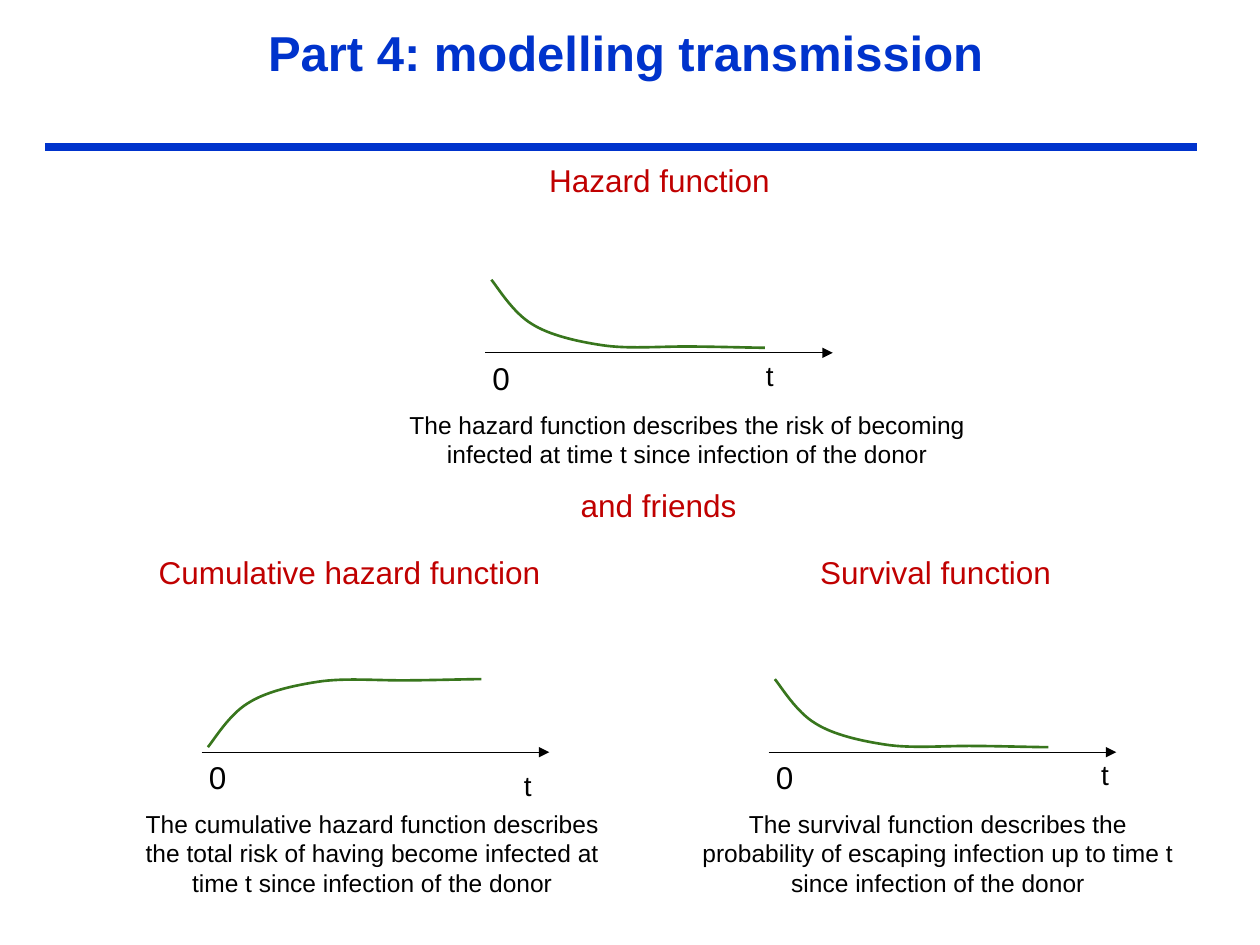
from lxml import etree
from pptx import Presentation
from pptx.dml.color import RGBColor
from pptx.enum.shapes import MSO_CONNECTOR
from pptx.enum.text import PP_ALIGN
from pptx.oxml.ns import qn
from pptx.util import Inches, Pt

STRAIGHT = MSO_CONNECTOR.STRAIGHT
LEFT, CENTER = PP_ALIGN.LEFT, PP_ALIGN.CENTER
BLUE, RED, GREEN, BLACK = "0033CC", "C00000", "38761D", "000000"

TITLE = "Part 4: modelling transmission"

# Boxes are left, top, width, height in inches; axis is the origin of the time axis.
GRAPHS = [
    {"heading": "Hazard function", "heading_at": (4.26, 1.23),
     "axis": (3.85, 2.8), "rising": False, "t_at": (5.98, 2.8),
     "text": "The hazard function describes the risk of becoming infected "
             "at time t since infection of the donor",
     "text_box": (2.96, 3.15, 4.99, 0.58)},
    {"heading": "Cumulative hazard function", "heading_at": (1.16, 4.34),
     "axis": (1.6, 5.97), "rising": True, "t_at": (4.06, 6.05),
     "text": "The cumulative hazard function describes the total risk of having "
             "become infected at time t since infection of the donor",
     "text_box": (0.96, 6.32, 3.99, 1.18)},
    {"heading": "Survival function", "heading_at": (6.41, 4.34),
     "axis": (6.1, 5.97), "rising": False, "t_at": (8.64, 5.96),
     "text": "The survival function describes the probability of escaping "
             "infection up to time t since infection of the donor",
     "text_box": (5.38, 6.32, 4.13, 1.11)},
]
LINK = ("and friends", (4.51, 3.81))
HEADING_SIZE = (3.61, 0.4)
AXIS_LENGTH = 2.76

# Start point, then three Bezier points for each segment of the falling curve
CURVE = [(0, 0),
         (0.05, 0.06), (0.17, 0.26), (0.32, 0.35),
         (0.46, 0.44), (0.68, 0.49), (0.88, 0.52),
         (1.08, 0.55), (1.32, 0.53), (1.54, 0.53),
         (1.75, 0.53), (2.07, 0.54), (2.17, 0.54)]
CURVE_HEIGHT = 0.54
CURVE_OFFSET = (0.05, -0.58)


def color(hex_string):
    return RGBColor.from_string(hex_string)


def add_text(slide, text, box, size, font_color, align=LEFT, bold=False, margin=0.05):
    shape = slide.shapes.add_textbox(*map(Inches, box))
    frame = shape.text_frame
    frame.word_wrap = True
    frame.margin_left = frame.margin_right = Inches(0.1)
    frame.margin_top = frame.margin_bottom = Inches(margin)
    frame.text = text
    paragraph = frame.paragraphs[0]
    paragraph.alignment = align
    font = paragraph.runs[0].font
    font.name, font.size, font.bold = "Arial", Pt(size), bold
    font.color.rgb = color(font_color)


def add_heading(slide, text, position):
    add_text(slide, text, (*position, *HEADING_SIZE), 18, RED)


def add_line(slide, left, right, y, line_color, width, arrow=False):
    line = slide.shapes.add_connector(
        STRAIGHT, Inches(left), Inches(y), Inches(right), Inches(y))
    line.line.color.rgb = color(line_color)
    line.line.width = Pt(width)
    if arrow:
        etree.SubElement(line.line._get_or_add_ln(), qn("a:tailEnd"), type="triangle")
    etree.SubElement(line._element.spPr, qn("a:effectLst"))


def add_curve(slide, left, top, rising):
    points = [(Inches(left + x), Inches(top + (CURVE_HEIGHT - y if rising else y)))
              for x, y in CURVE]
    builder = slide.shapes.build_freeform(*points[0])
    builder.add_line_segments(points[1:], close=False)
    shape = builder.convert_to_shape()
    shape.shadow.inherit = False
    shape.fill.background()
    shape.line.color.rgb = color(GREEN)
    shape.line.width = Pt(1.5)
    bend_segments(shape)


def bend_segments(shape):
    """Turn every three straight segments into one cubic Bezier segment."""
    segments = list(shape._element.iter(qn("a:lnTo")))
    for start in range(0, len(segments), 3):
        bezier = etree.SubElement(segments[start].getparent(), qn("a:cubicBezTo"))
        for segment in segments[start:start + 3]:
            bezier.append(segment[0])
            segment.getparent().remove(segment)


def add_graph(slide, graph):
    x, y = graph["axis"]
    add_heading(slide, graph["heading"], graph["heading_at"])
    add_line(slide, x, x + AXIS_LENGTH, y, BLACK, 0.75, arrow=True)
    add_text(slide, "t", (*graph["t_at"], 0.69, 0.37), 16, BLACK)
    add_text(slide, "0", (x - 0.04, y, 0.34, 0.4), 18, BLACK)
    add_curve(slide, x + CURVE_OFFSET[0], y + CURVE_OFFSET[1], graph["rising"])
    add_text(slide, graph["text"], graph["text_box"], 14, BLACK, CENTER, margin=0.1)


def main():
    presentation = Presentation()
    presentation.slide_width, presentation.slide_height = Inches(10), Inches(7.5)
    slide = presentation.slides.add_slide(presentation.slide_layouts[6])
    add_line(slide, 0.36, 9.5, 1.17, BLUE, 4.5)
    add_text(slide, TITLE, (1.54, 0.13, 6.85, 1.04), 28, BLUE, CENTER, bold=True)
    for graph in GRAPHS:
        add_graph(slide, graph)
    add_heading(slide, *LINK)
    presentation.save("out.pptx")


if __name__ == "__main__":
    main()
